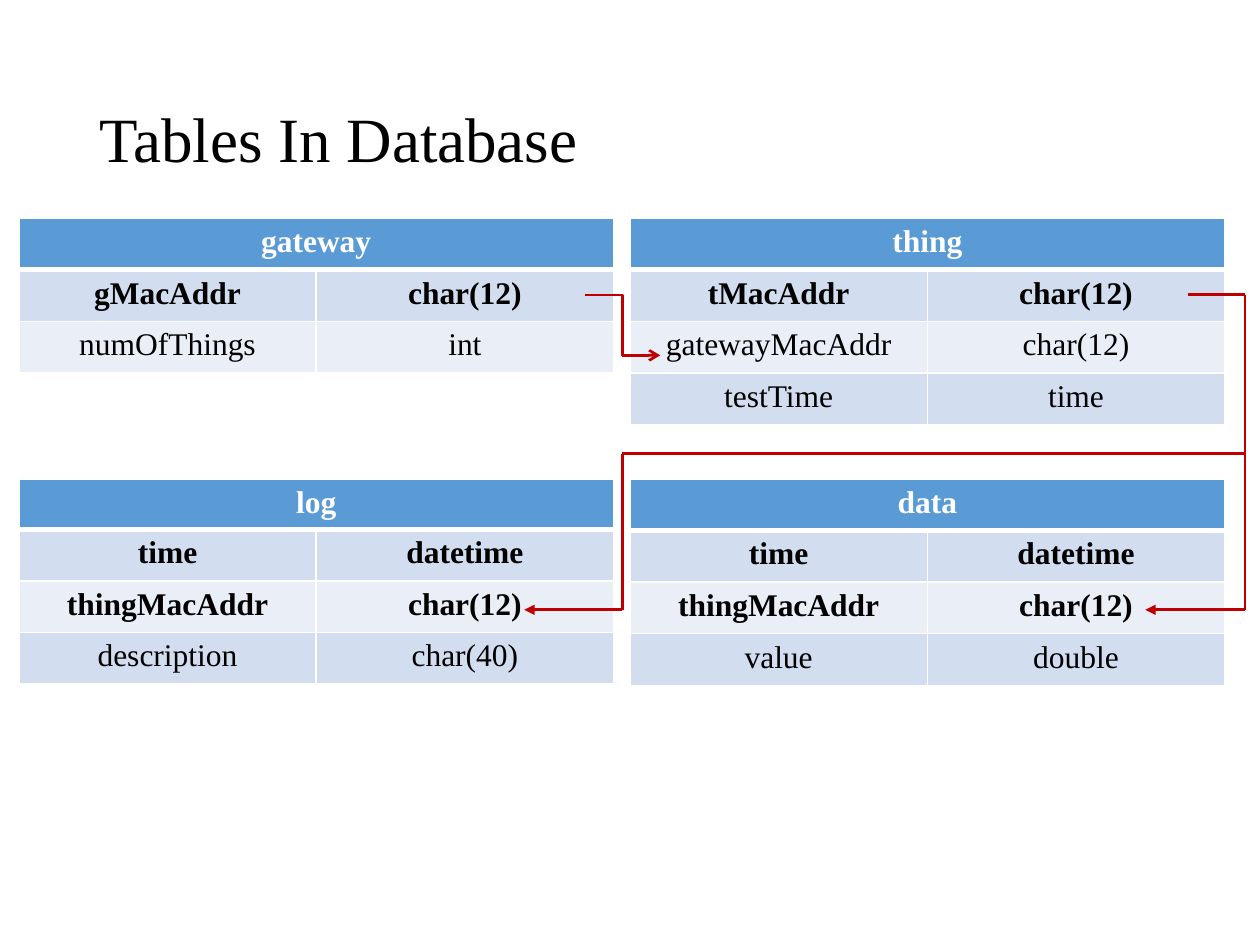
"""Build a slide of four database tables joined by key arrows."""
from lxml.etree import SubElement
from pptx import Presentation
from pptx.dml.color import RGBColor
from pptx.enum.shapes import MSO_CONNECTOR as Link
from pptx.enum.text import MSO_ANCHOR, PP_ALIGN
from pptx.oxml import parse_xml
from pptx.oxml.ns import nsdecls, qn
from pptx.util import Inches, Pt

FONT = "Times New Roman"
BLACK = RGBColor(0x00, 0x00, 0x00)
WHITE = RGBColor(0xFF, 0xFF, 0xFF)
HEADER = RGBColor(0x5B, 0x9B, 0xD5)
BANDS = RGBColor(0xEA, 0xEF, 0xF7), RGBColor(0xD2, 0xDE, 0xEF)
RED = RGBColor(0xC0, 0x00, 0x00)

TITLE = "Tables In Database"
LEFT, RIGHT, UPPER, LOWER = 0.15, 5, 1.73, 3.8
COL_W, ROW_H = 2.36, 0.41
TABLES = [
    dict(name="gateway", x=LEFT, y=UPPER, head_h=ROW_H, keys=1,
         fields=[("gMacAddr", "char(12)"), ("numOfThings", "int")]),
    dict(name="data", x=RIGHT, y=LOWER, head_h=ROW_H, keys=2,
         fields=[("time", "datetime"), ("thingMacAddr", "char(12)"), ("value", "double")]),
    dict(name="thing", x=RIGHT, y=UPPER, head_h=ROW_H, keys=1,
         fields=[("tMacAddr", "char(12)"), ("gatewayMacAddr", "char(12)"), ("testTime", "time")]),
    dict(name="log", x=LEFT, y=LOWER, head_h=0.39, keys=2,
         fields=[("time", "datetime"), ("thingMacAddr", "char(12)"), ("description", "char(40)")]),
]

KEY_Y, GATEWAY_REF_Y, BRANCH_Y, THING_REF_Y = 2.34, 2.82, 3.6, 4.84
MID_X, EDGE_X = 4.94, 9.88
LINKS = [
    (Link.ELBOW, (4.64, KEY_Y), (5.24, GATEWAY_REF_Y), "arrow"),
    (Link.STRAIGHT, (9.43, KEY_Y), (EDGE_X, KEY_Y), None),
    (Link.STRAIGHT, (EDGE_X, KEY_Y), (EDGE_X, THING_REF_Y), None),
    (Link.STRAIGHT, (EDGE_X, THING_REF_Y), (9.09, THING_REF_Y), "triangle"),
    (Link.STRAIGHT, (EDGE_X, BRANCH_Y), (MID_X, BRANCH_Y), None),
    (Link.STRAIGHT, (MID_X, BRANCH_Y), (MID_X, THING_REF_Y), None),
    (Link.STRAIGHT, (MID_X, THING_REF_Y), (4.16, THING_REF_Y), "triangle"),
]


def write(tf, text, color, **formats):
    p = tf.paragraphs[0]
    r = p.add_run()
    r.text = text
    r.font.color.rgb = color
    for name, value in dict(name=FONT, **formats).items():
        setattr(r.font, name, value)
    return p


def format_cell(cell, fill, top=1, bottom=1):
    for side, width in dict(L=1, R=1, T=top, B=bottom).items():
        cell._tc.get_or_add_tcPr().append(parse_xml(
            f'<a:ln{side} {nsdecls("a")} w="{Pt(width)}"><a:solidFill>'
            f'<a:srgbClr val="{WHITE}"/></a:solidFill></a:ln{side}>'))
    cell.fill.solid()
    cell.fill.fore_color.rgb = fill


def add_db_table(s, name, x, y, head_h, keys, fields):
    heights = [head_h] + [ROW_H] * len(fields)
    table = s.shapes.add_table(len(heights), 2, Inches(x), Inches(y),
                               Inches(2 * COL_W), Inches(sum(heights))).table
    for row, height in zip(table.rows, heights):
        row.height = Inches(height)
    table.cell(0, 0).merge(table.cell(0, 1))
    for i, values in enumerate([(name, "")] + fields):
        for j, text in enumerate(values):
            cell = table.cell(i, j)
            format_cell(cell, BANDS[i % 2] if i else HEADER,
                        top=3 if i == 1 else 1, bottom=1 if i else 3)
            if text:
                p = write(cell.text_frame, text, BLACK if i else WHITE,
                          size=Pt(18), bold=i <= keys)
                p.alignment = PP_ALIGN.CENTER


def add_link(s, kind, start, end, head):
    link = s.shapes.add_connector(kind, *map(Inches, start + end))
    link.line.color.rgb = RED
    link.line.width = Pt(1.5)
    if head:
        SubElement(link.line._get_or_add_ln(), qn("a:tailEnd"), type=head)
    SubElement(link._element.spPr, qn("a:effectLst"))


def main():
    prs = Presentation()
    prs.slide_width, prs.slide_height = Inches(10), Inches(7.5)
    s = prs.slides.add_slide(prs.slide_layouts[6])
    tf = s.shapes.add_textbox(*map(Inches, (0.69, 0.4, 8.62, 1.45))).text_frame
    tf.word_wrap = True
    tf.vertical_anchor = MSO_ANCHOR.MIDDLE
    write(tf, TITLE, BLACK, size=Pt(36)).line_spacing = 0.9
    for table in TABLES:
        add_db_table(s, **table)
    for link in LINKS:
        add_link(s, *link)
    prs.save("out.pptx")


if __name__ == "__main__":
    main()
